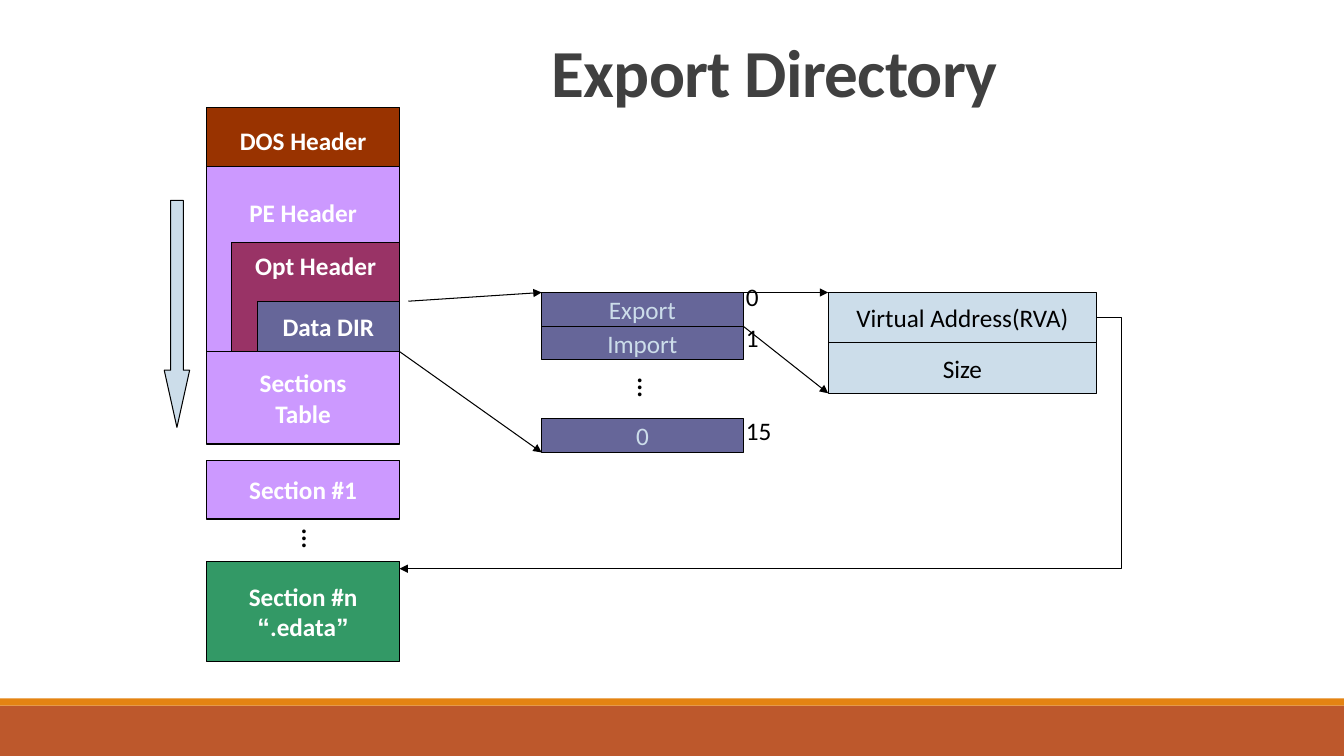
from dataclasses import dataclass
from itertools import groupby
from typing import Optional

from lxml.etree import SubElement
from pptx import Presentation
from pptx.dml.color import RGBColor
from pptx.enum.shapes import MSO_CONNECTOR, MSO_SHAPE
from pptx.enum.text import MSO_ANCHOR, PP_ALIGN
from pptx.oxml.ns import qn
from pptx.util import Cm, Pt

COLORS = {
    "black": "000000", "white": "FFFFFF", "title": "404040",
    "rust": "BD582C", "orange": "E48312", "brown": "993300",
    "violet": "CC99FF", "plum": "993366", "green": "339966",
    "slate": "666699", "pale": "CCDDEA",
}
QUOTES = "“”"

# Shared edges of the diagram, in centimetres
FILE_LEFT, FILE_RIGHT = 5.21, 10.07
ENTRY_LEFT, ENTRY_RIGHT, ENTRY_HEIGHT = 13.65, 18.73, 0.85
FIELD_LEFT, FIELD_RIGHT, FIELD_HEIGHT = 20.87, 27.64, 1.27
DIRECTORY_TOP, LAST_ENTRY_TOP = 7.37, 10.55
SECTIONS_TOP, EXPORT_SECTION_TOP = 8.86, 14.14


@dataclass
class Block:
    """A filled rectangle; text_inset pins its text below the top edge."""
    text: str
    left: float
    top: float
    right: float
    height: float
    fill: str
    color: str = "white"
    bold: bool = True
    text_inset: Optional[float] = None
    outlined: bool = True


@dataclass
class Label:
    """Free text without a box."""
    text: str
    left: float
    top: float
    width: float
    height: float
    size: float = 18
    color: str = "black"
    bold: bool = False
    vertical: bool = False


@dataclass
class Arrow:
    """A line with an arrowhead at its end; bend is the elbow position."""
    start_x: float
    start_y: float
    end_x: float
    end_y: float
    bend: Optional[int] = None


def rgb(name: str) -> RGBColor:
    """Look up a named colour."""
    return RGBColor.from_string(COLORS[name])


def write_text(frame, text: str, size: float, color: str, bold: bool) -> None:
    """Write lines of text, with curly quotes in Arial."""
    for index, line in enumerate(text.split("\n")):
        paragraph = frame.paragraphs[0] if index == 0 else frame.add_paragraph()
        for is_quote, characters in groupby(line, lambda character: character in QUOTES):
            run = paragraph.add_run()
            run.text = "".join(characters)
            run.font.name = "Arial" if is_quote else "Calibri"
            run.font.size = Pt(size)
            run.font.bold = bold
            run.font.color.rgb = rgb(color)


def paint(shape, fill: str, outlined: bool) -> None:
    """Give a shape a flat fill and an optional thin black outline."""
    shape.shadow.inherit = False
    shape.fill.solid()
    shape.fill.fore_color.rgb = rgb(fill)
    if outlined:
        shape.line.color.rgb = rgb("black")
        shape.line.width = Pt(0.75)
    else:
        shape.line.fill.background()


def draw_block(slide, block: Block) -> None:
    """Draw a rectangle with centred text."""
    shape = slide.shapes.add_shape(
        MSO_SHAPE.RECTANGLE, Cm(block.left), Cm(block.top),
        Cm(block.right - block.left), Cm(block.height))
    paint(shape, block.fill, block.outlined)
    if not block.text:
        return
    frame = shape.text_frame
    frame.word_wrap = False
    frame.vertical_anchor = MSO_ANCHOR.MIDDLE
    if block.text_inset is not None:
        frame.vertical_anchor = MSO_ANCHOR.TOP
        frame.margin_top = Cm(block.text_inset)
    write_text(frame, block.text, 18, block.color, block.bold)
    for paragraph in frame.paragraphs:
        paragraph.alignment = PP_ALIGN.CENTER


def draw_label(slide, label: Label):
    """Draw a text box and return its text frame."""
    shape = slide.shapes.add_textbox(
        Cm(label.left), Cm(label.top), Cm(label.width), Cm(label.height))
    frame = shape.text_frame
    frame.word_wrap = True
    if label.vertical:
        frame._txBody.bodyPr.set("vert", "eaVert")
    write_text(frame, label.text, label.size, label.color, label.bold)
    return frame


def draw_arrow(slide, arrow: Arrow) -> None:
    """Draw a straight or elbow connector with a triangular head."""
    kind = MSO_CONNECTOR.STRAIGHT if arrow.bend is None else MSO_CONNECTOR.ELBOW
    connector = slide.shapes.add_connector(
        kind, Cm(arrow.start_x), Cm(arrow.start_y), Cm(arrow.end_x), Cm(arrow.end_y))
    connector.line.color.rgb = rgb("black")
    connector.line.width = Pt(0.75)
    properties = connector._element.spPr
    SubElement(properties.find(qn("a:ln")), qn("a:tailEnd"), type="triangle")
    SubElement(properties, qn("a:effectLst"))
    if arrow.bend is not None:
        guides = properties.find(qn("a:prstGeom")).get_or_add_avLst()
        SubElement(guides, qn("a:gd"), name="adj1", fmla=f"val {arrow.bend}")


def draw_title(slide) -> None:
    """Draw the slide title."""
    frame = draw_label(slide, Label("Export Directory", 13.65, 0.94, 19.8, 3.66,
                                    48, "title", True))
    paragraph = frame.paragraphs[0]
    paragraph.line_spacing = 0.85
    paragraph.runs[0].font._element.set("spc", "-50")


def draw_reading_direction(slide) -> None:
    """Draw the long arrow beside the file layout."""
    shape = slide.shapes.add_shape(
        MSO_SHAPE.DOWN_ARROW, Cm(4.14), Cm(5.05), Cm(0.64), Cm(5.72))
    shape.adjustments[0] = 0.5
    shape.adjustments[1] = 2.25
    paint(shape, "pale", True)


FOOTER = [
    Block("", 0, 17.78, 33.87, 1.27, "rust", outlined=False),
    Block("", 0, 17.6, 33.87, 0.18, "orange", outlined=False),
]
FILE_LAYOUT = [
    Block("DOS Header", FILE_LEFT, 2.7, FILE_RIGHT, 1.69, "brown"),
    Block("PE Header", FILE_LEFT, 4.2, FILE_RIGHT, 4.66, "violet", text_inset=0.78),
    Block("Opt Header", 5.84, 6.11, FILE_RIGHT, 2.75, "plum", text_inset=0.21),
    Block("Sections\nTable", FILE_LEFT, SECTIONS_TOP, FILE_RIGHT, 2.33, "violet"),
    Block("Section #1", FILE_LEFT, 11.6, FILE_RIGHT, 1.48, "violet"),
    Block("Section #n\n“.edata”", FILE_LEFT, EXPORT_SECTION_TOP, FILE_RIGHT, 2.54, "green"),
    Block("Data DIR", 6.48, 7.6, FILE_RIGHT, 1.26, "slate"),
]
ENTRIES = [
    Block(text, ENTRY_LEFT, top, ENTRY_RIGHT, ENTRY_HEIGHT, "slate", "pale", False)
    for text, top in [("Export", DIRECTORY_TOP),
                      ("Import", DIRECTORY_TOP + ENTRY_HEIGHT),
                      ("0", LAST_ENTRY_TOP)]
]
FIELDS = [
    Block(text, FIELD_LEFT, DIRECTORY_TOP + row * FIELD_HEIGHT, FIELD_RIGHT,
          FIELD_HEIGHT, "pale", "black", False)
    for row, text in enumerate(["Virtual Address(RVA)", "Size"])
]
INDEXES = [Label(text, 18.55, top, 1.48, 1.02)
           for text, top in [("0", 6.96), ("1", 8.0), ("15", 10.34)]]
ELLIPSES = [Label("...", left, top, 1.27, 1.07, bold=True, vertical=True)
            for left, top in [(15.57, 9.27), (7.11, 13.08)]]
ARROWS = [
    Arrow(10.29, 7.59, ENTRY_LEFT, DIRECTORY_TOP),
    Arrow(FILE_RIGHT, SECTIONS_TOP, ENTRY_LEFT, LAST_ENTRY_TOP + ENTRY_HEIGHT),
    Arrow(ENTRY_RIGHT, DIRECTORY_TOP, FIELD_LEFT, DIRECTORY_TOP),
    Arrow(ENTRY_RIGHT, DIRECTORY_TOP + ENTRY_HEIGHT,
          FIELD_LEFT, DIRECTORY_TOP + 2 * FIELD_HEIGHT),
    Arrow(FIELD_RIGHT, DIRECTORY_TOP + FIELD_HEIGHT / 2, FILE_RIGHT, 14.33, bend=-3600),
]


def main() -> None:
    """Build the slide and save it."""
    presentation = Presentation()
    presentation.slide_width, presentation.slide_height = Cm(33.87), Cm(19.05)
    slide = presentation.slides.add_slide(presentation.slide_layouts[6])
    draw_title(slide)
    for block in FOOTER + FILE_LAYOUT + ENTRIES + FIELDS:
        draw_block(slide, block)
    draw_reading_direction(slide)
    for label in INDEXES + ELLIPSES:
        draw_label(slide, label)
    for arrow in ARROWS:
        draw_arrow(slide, arrow)
    presentation.save("out.pptx")


main()
